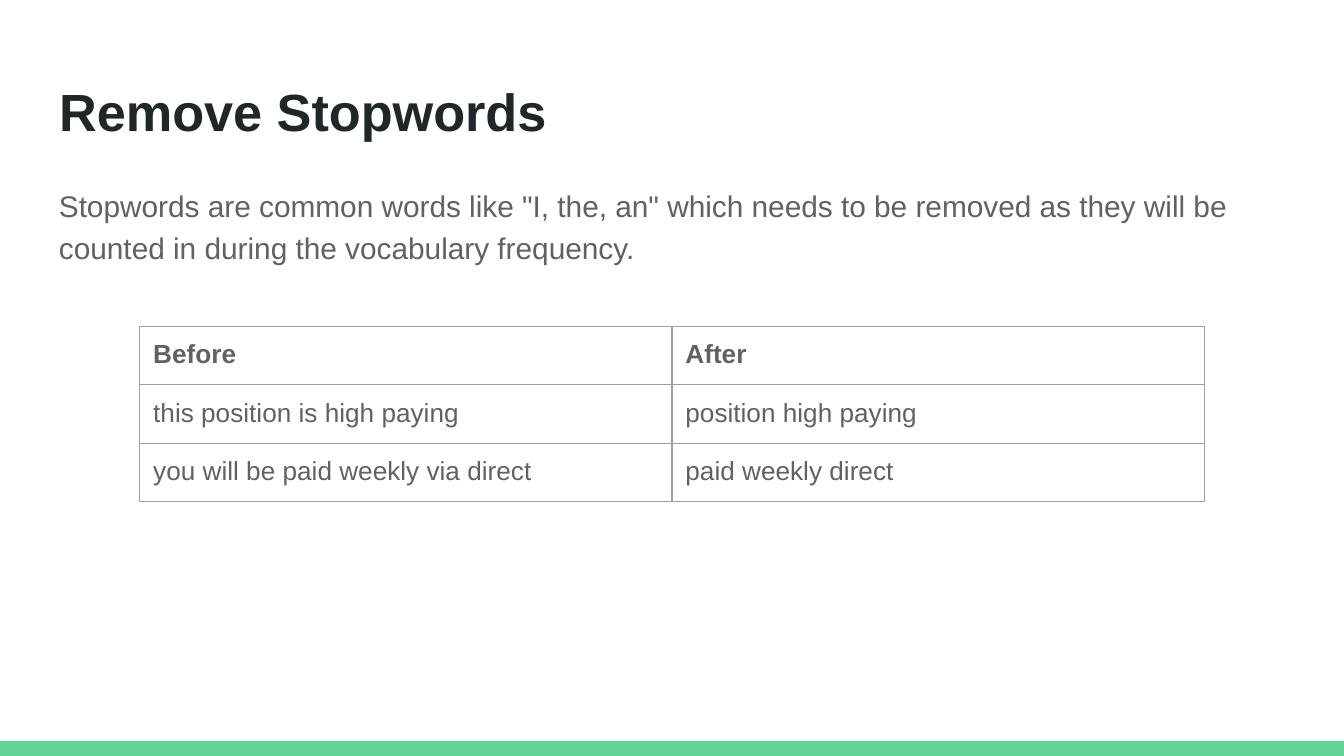
from dataclasses import dataclass

from lxml.etree import SubElement
from pptx import Presentation
from pptx.dml.color import RGBColor as RGB
from pptx.enum.shapes import MSO_SHAPE as Shape
from pptx.enum.text import MSO_ANCHOR as Anchor, PP_ALIGN as Align
from pptx.oxml.ns import qn
from pptx.util import Inches, Pt


@dataclass(frozen=True)
class Theme:
    font: str = "Arial"
    heading: str = "202729"
    text: str = "616161"
    accent: str = "63D297"
    border: str = "9E9E9E"
    title_size: int = 28
    body_size: int = 16
    table_size: int = 14
    border_width: float = 0.75
    inset: float = 0.1


THEME = Theme()
WIDTH = 10
HEIGHT = WIDTH * 9 / 16
MARGIN = 0.34
BAR_HEIGHT = 0.11
COLUMN, ROW = 3.96, 0.42
EXAMPLES = [
    ("Before", "After"),
    ("this position is high paying", "position high paying"),
    ("you will be paid weekly via direct", "paid weekly direct"),
]
DEFINITION = (
    'Stopwords are common words like "I, the, an" which needs to be removed '
    "as they will be counted in during the vocabulary frequency."
)


def apply_format(target, values):
    for name, value in values.items():
        setattr(target, name, value)


def write(frame, words, size, color, bold=False, **paragraph_format):
    """Fill a text frame with one formatted paragraph."""
    paragraph = frame.paragraphs[0]
    apply_format(paragraph, {"alignment": Align.LEFT, **paragraph_format})
    run = paragraph.add_run()
    run.text = words
    apply_format(run.font, {"name": THEME.font, "size": Pt(size), "bold": bold})
    run.font.color.rgb = RGB.from_string(color)
    # The paragraph end takes the same size, so it cannot stretch a table row
    SubElement(paragraph._p, qn("a:endParaRPr"), sz=str(size * 100))


def set_insets(holder):
    sides = ("left", "top", "right", "bottom")
    apply_format(holder, {f"margin_{side}": Inches(THEME.inset) for side in sides})


def prepare_frame(frame):
    set_insets(frame)
    apply_format(frame, {"word_wrap": True, "vertical_anchor": Anchor.TOP})


def add_title(slide, words):
    title = slide.shapes.title
    place = {"left": MARGIN, "top": 0.49, "width": WIDTH - 2 * MARGIN, "height": 0.63}
    apply_format(title, {name: Inches(value) for name, value in place.items()})
    prepare_frame(title.text_frame)
    write(title.text_frame, words, THEME.title_size, THEME.heading, bold=True)


def add_body(slide, words):
    body = slide.shapes.add_textbox(
        Inches(MARGIN), Inches(1.26), Inches(WIDTH - 2 * MARGIN), Inches(3.74))
    prepare_frame(body.text_frame)
    write(body.text_frame, words, THEME.body_size, THEME.text,
          line_spacing=1.15, space_after=Pt(16))


def add_footer_bar(slide):
    bar = slide.shapes.add_shape(
        Shape.RECTANGLE, 0, Inches(HEIGHT - BAR_HEIGHT), Inches(WIDTH), Inches(BAR_HEIGHT))
    bar.shadow.inherit = False
    bar.fill.solid()
    bar.fill.fore_color.rgb = RGB.from_string(THEME.accent)
    bar.line.fill.background()


def draw_borders(cell):
    properties = cell._tc.get_or_add_tcPr()
    for side in ("a:lnL", "a:lnR", "a:lnT", "a:lnB"):
        line = SubElement(properties, qn(side), w=str(Pt(THEME.border_width)))
        fill = SubElement(line, qn("a:solidFill"))
        SubElement(fill, qn("a:srgbClr"), val=THEME.border)


def add_examples(slide, rows):
    column_count = len(rows[0])
    table = slide.shapes.add_table(
        len(rows), column_count, Inches(1.04), Inches(2.43),
        Inches(COLUMN * column_count), Inches(ROW * len(rows))).table
    apply_format(table, {"first_row": False, "horz_banding": False})
    for r, row in enumerate(rows):
        for c, words in enumerate(row):
            cell = table.cell(r, c)
            set_insets(cell)
            write(cell.text_frame, words, THEME.table_size, THEME.text, bold=r == 0)
            # Borders come before the fill in the cell properties
            draw_borders(cell)
            cell.fill.background()


def main():
    deck = Presentation()
    apply_format(deck, {"slide_width": Inches(WIDTH), "slide_height": Inches(HEIGHT)})
    slide = deck.slides.add_slide(deck.slide_layouts[5])

    # Accent along the bottom edge
    add_footer_bar(slide)

    # Heading and definition
    add_title(slide, "Remove Stopwords")
    add_body(slide, DEFINITION)

    # Sentences before and after removal
    add_examples(slide, EXAMPLES)

    deck.save("out.pptx")


if __name__ == "__main__":
    main()
